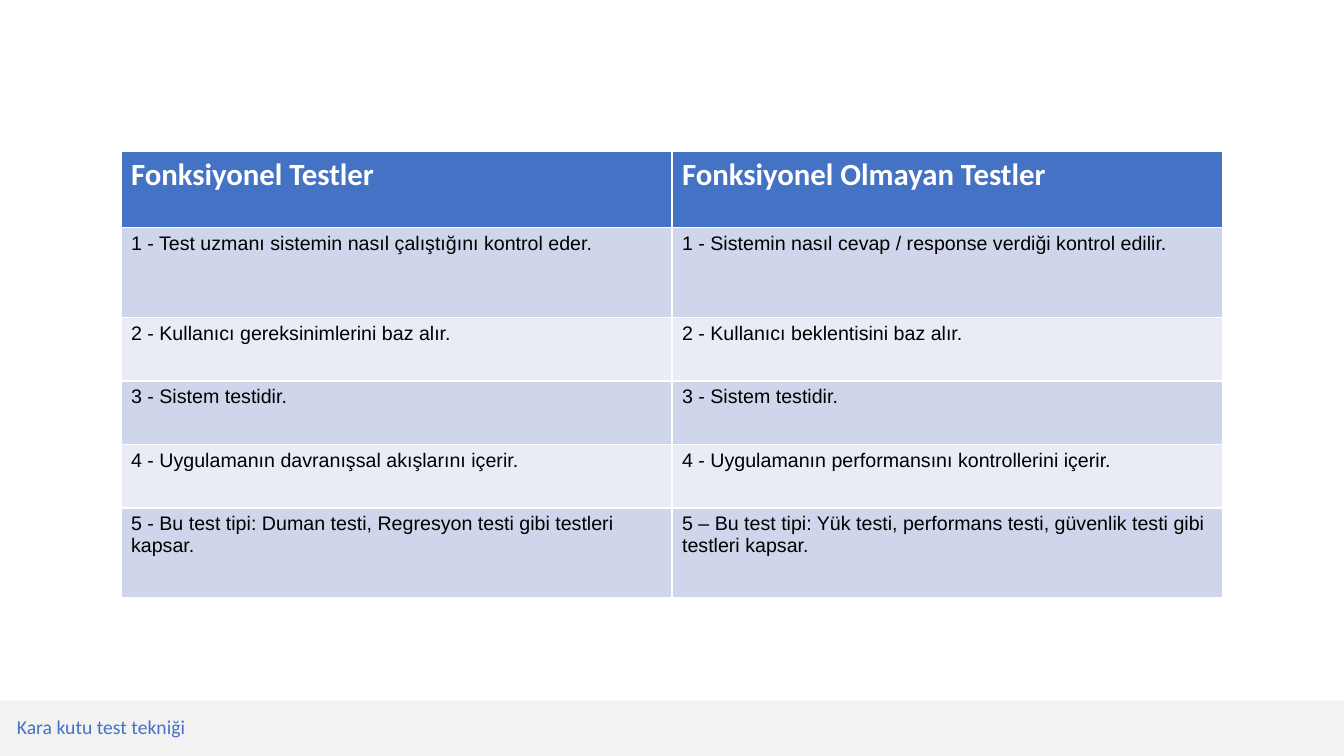
from pptx import Presentation
from pptx.dml.color import RGBColor
from pptx.enum.shapes import MSO_SHAPE
from pptx.enum.text import MSO_ANCHOR
from pptx.util import Inches, Pt

ROWS = [
    ("Fonksiyonel Testler", "Fonksiyonel Olmayan Testler"),
    ("1 - Test uzmanı sistemin nasıl çalıştığını kontrol eder.",
     "1 - Sistemin nasıl cevap / response verdiği kontrol edilir."),
    ("2 - Kullanıcı gereksinimlerini baz alır.",
     "2 - Kullanıcı beklentisini baz alır."),
    ("3 - Sistem testidir.", "3 - Sistem testidir."),
    ("4 - Uygulamanın davranışsal akışlarını içerir.",
     "4 - Uygulamanın performansını kontrollerini içerir."),
    ("5 - Bu test tipi: Duman testi, Regresyon testi gibi testleri kapsar.",
     "5 – Bu test tipi: Yük testi, performans testi, güvenlik testi gibi testleri kapsar."),
]
HEIGHTS = [0.76, 0.89, 0.63, 0.63, 0.63, 0.89]
WIDTH = 10.93
FOOTER = "Kara kutu test tekniği"
BLUE, BANDS = "4472C4", ("E9EBF5", "CFD5EA")
HEAD = {"name": "Calibri", "size": Pt(22), "bold": True, "color": "FFFFFF"}
BODY = {"name": "Arial", "size": Pt(14), "bold": False, "color": "000000"}
NOTE = {"name": "Calibri", "size": Pt(14), "bold": False, "color": BLUE}


def paint(fill, color):
    """Fill with a solid hex colour."""
    fill.solid()
    fill.fore_color.rgb = RGBColor.from_string(color)


def write(frame, text, style):
    """Put one styled run in a text frame."""
    run = frame.paragraphs[0].add_run()
    run.text = text
    for key, value in style.items():
        if key == "color":
            paint(run.font.fill, value)
        else:
            setattr(run.font, key, value)


def add_footer(slide):
    """Draw the grey footer band and its caption."""
    band = slide.shapes.add_shape(
        MSO_SHAPE.RECTANGLE, 0, Inches(6.95), Inches(13.33), Inches(0.55))
    band.shadow.inherit = False
    paint(band.fill, "F2F2F2")
    band.line.fill.background()
    box = slide.shapes.add_textbox(
        Inches(0.07), Inches(7.01), Inches(5.64), Inches(0.37))
    frame = box.text_frame
    frame.word_wrap = True
    frame.vertical_anchor = MSO_ANCHOR.BOTTOM
    frame.paragraphs[0].line_spacing = 0.9
    write(frame, FOOTER, NOTE)


def add_tests(slide):
    """Build the table that compares the two kinds of test."""
    count = len(ROWS[0])
    table = slide.shapes.add_table(
        len(ROWS), count, Inches(1.2), Inches(1.5),
        Inches(WIDTH), Inches(sum(HEIGHTS))).table
    for col in table.columns:
        col.width = Inches(WIDTH / count)
    for i, (texts, height) in enumerate(zip(ROWS, HEIGHTS)):
        table.rows[i].height = Inches(height)
        for j, text in enumerate(texts):
            cell = table.cell(i, j)
            paint(cell.fill, BANDS[i % 2] if i else BLUE)
            write(cell.text_frame, text, BODY if i else HEAD)


def main():
    """Build and save the slide."""
    deck = Presentation()
    deck.slide_width, deck.slide_height = Inches(13.33), Inches(7.5)
    slide = deck.slides.add_slide(deck.slide_layouts[6])
    add_footer(slide)
    add_tests(slide)
    deck.save("out.pptx")


if __name__ == "__main__":
    main()
